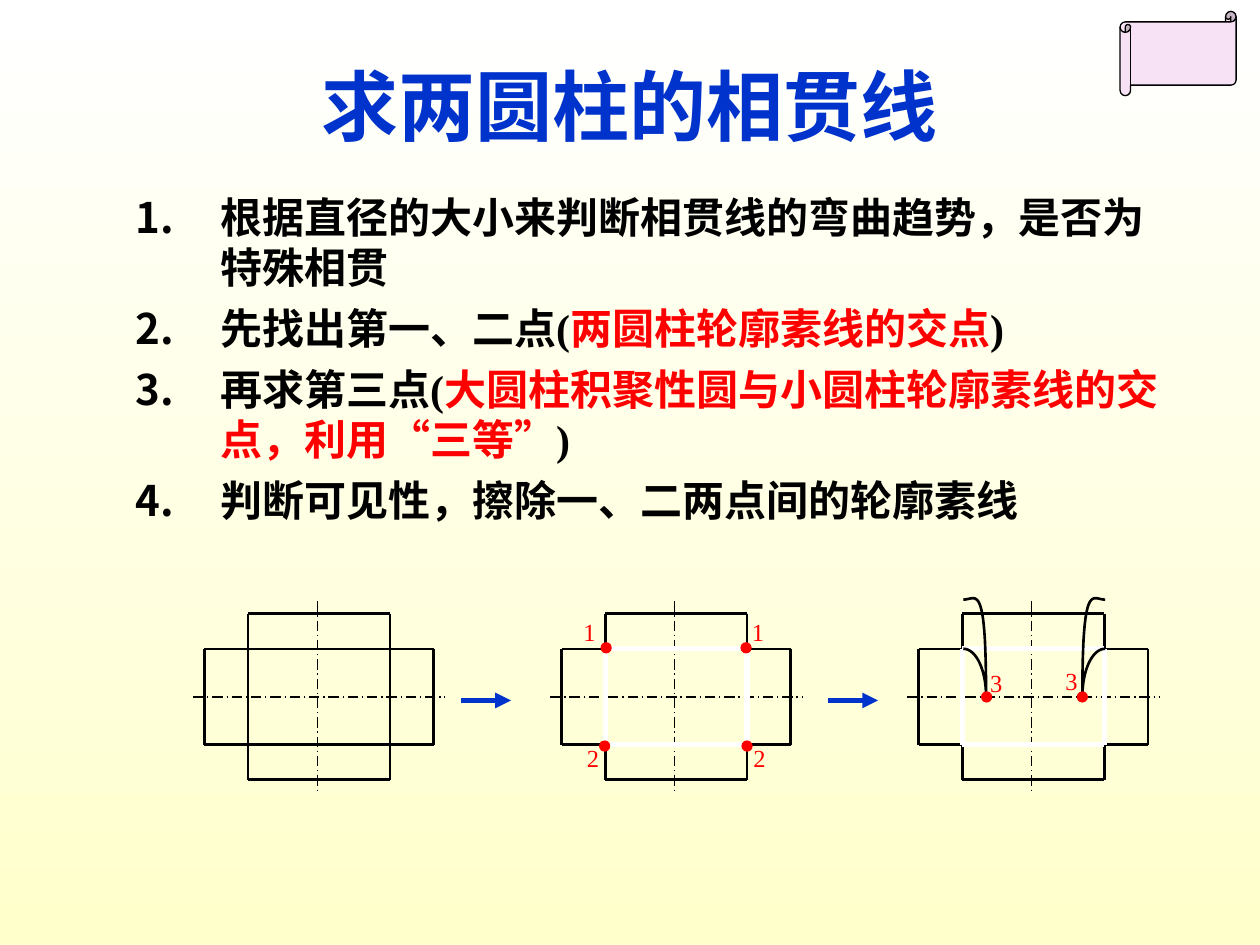
import pptx
import pptx.dml.color
import pptx.enum.dml
import pptx.enum.shapes
import pptx.enum.text
import pptx.oxml.ns
import pptx.util
import lxml.etree

COLOURS = {
    "black": "000000",
    "white": "FFFFFF",
    "cream": "FFFFCC",
    "blue": "0033CC",
    "red": "FF0000",
    "pink": "F7E1F5",
}
FONT = "Times New Roman"
TITLE_FORMAT = {"name": FONT, "size": pptx.util.Pt(44), "bold": True}
BODY_FORMAT = {"name": FONT, "size": pptx.util.Pt(24), "bold": True}
LABEL_FORMAT = {"name": FONT, "size": pptx.util.Pt(14), "bold": False}
CENTRE_LINE = pptx.enum.dml.MSO_LINE.LONG_DASH_DOT
SHAPES = pptx.enum.shapes.MSO_SHAPE

FIGURE_PITCH = 7.2
UPRIGHT = (5.0, 12.37, 7.86, 15.72)
CROSSWISE = (4.12, 13.08, 8.74, 15.01)
OVERLAP = (5.0, 13.08, 7.86, 15.01)
CENTRE_X, CENTRE_Y = 6.4, 14.05
CURVE_AXIS = 20.85
CURVE_SEGMENTS = [
    [(1.43, 13.08), (1.17, 13.08), (0.97, 13.51), (0.97, 14.05)],
    [(0.97, 14.05), (0.97, 11.66), (1.17, 12.09), (1.43, 12.09)],
]
STEPS = [
    [("根据直径的大小来判断相贯线的弯曲趋势，是否为特殊相贯", "black")],
    [("先找出第一、二点(", "black"), ("两圆柱轮廓素线的交点", "red"), (")", "black")],
    [
        ("再求第三点(", "black"),
        ("大圆柱积聚性圆与小圆柱轮廓素线的交点，利用“三等”", "red"),
        (")", "black"),
    ],
    [("判断可见性，擦除一、二两点间的轮廓素线", "black")],
]
DOTS = [(12.22, 13.06), (15.06, 15.04), (12.19, 15.04), (15.04, 13.06), (21.82, 14.05), (19.89, 14.05)]
LABELS = [
    ("1", 11.51, 12.32),
    ("2", 11.58, 14.86),
    ("1", 14.91, 12.32),
    ("2", 14.94, 14.86),
    ("3", 21.23, 13.31),
    ("3", 19.71, 13.34),
]


def colour(name):
    return pptx.dml.color.RGBColor.from_string(COLOURS[name])


def add_element(parent, tag, **attributes):
    return lxml.etree.SubElement(parent, pptx.oxml.ns.qn(tag), attributes)


def bezier_points(controls, count=24):
    for step in range(count + 1):
        t = step / count
        weights = ((1 - t) ** 3, 3 * t * (1 - t) ** 2, 3 * t * t * (1 - t), t ** 3)
        yield tuple(sum(w * point[axis] for w, point in zip(weights, controls)) for axis in (0, 1))


class SlideBuilder:
    def __init__(self, slide):
        self.slide = slide

    def background(self, top, bottom):
        fill = self.slide.background.fill
        fill.gradient()
        fill.gradient_angle = 270
        for stop, name in zip(fill.gradient_stops, (top, bottom)):
            stop.color.rgb = colour(name)

    def run(self, paragraph, text, name, text_format):
        run = paragraph.add_run()
        run.text = text
        for attribute, value in text_format.items():
            setattr(run.font, attribute, value)
        run.font.color.rgb = colour(name)

    def title(self, text, box):
        shape = self.slide.shapes.title
        for attribute, value in zip(("left", "top", "width", "height"), box):
            setattr(shape, attribute, pptx.util.Cm(value))
        shape.text_frame.vertical_anchor = pptx.enum.text.MSO_ANCHOR.MIDDLE
        paragraph = shape.text_frame.paragraphs[0]
        paragraph.alignment = pptx.enum.text.PP_ALIGN.CENTER
        self.run(paragraph, text, "blue", TITLE_FORMAT)

    def text_box(self, box):
        frame = self.slide.shapes.add_textbox(*map(pptx.util.Cm, box)).text_frame
        frame.word_wrap = True
        return frame

    def numbered_list(self, items, box):
        frame = self.text_box(box)
        for index, runs in enumerate(items):
            paragraph = frame.add_paragraph() if index else frame.paragraphs[0]
            properties = paragraph._p.get_or_add_pPr()
            properties.set("marL", str(pptx.util.Cm(1.7)))
            properties.set("indent", str(-pptx.util.Cm(1.7)))
            add_element(add_element(properties, "a:buClr"), "a:srgbClr", val=COLOURS["black"])
            add_element(properties, "a:buAutoNum", type="arabicPeriod")
            if index:
                paragraph.space_before = pptx.util.Pt(6)
            for text, name in runs:
                self.run(paragraph, text, name, BODY_FORMAT)

    def label(self, text, left, top):
        frame = self.text_box((left, top, 1.19, 0.86))
        self.run(frame.paragraphs[0], text, "red", LABEL_FORMAT)

    def shape(self, kind, box, fill, outline):
        shape = self.slide.shapes.add_shape(kind, *map(pptx.util.Cm, box))
        shape.shadow.inherit = False
        shape.fill.solid()
        shape.fill.fore_color.rgb = colour(fill)
        shape.line.color.rgb = colour(outline)
        shape.line.width = pptx.util.Pt(0.75)

    def dot(self, x, y, size=0.2):
        self.shape(SHAPES.OVAL, (x - size / 2, y - size / 2, size, size), "red", "red")

    def line(self, shapes, ends, name="black", width=1.5, dash=None):
        connector = shapes.add_connector(
            pptx.enum.shapes.MSO_CONNECTOR.STRAIGHT, *map(pptx.util.Cm, ends)
        )
        connector.line.color.rgb = colour(name)
        connector.line.width = pptx.util.Pt(width)
        if dash:
            connector.line.dash_style = dash
        add_element(connector._element.spPr, "a:effectLst")
        return connector

    def arrow(self, start, end, y):
        connector = self.line(self.slide.shapes, (start, y, end, y), "blue", 3)
        add_element(connector.line._get_or_add_ln(), "a:tailEnd", type="triangle")

    def frame(self, shapes, edges, offset, name="black", width=1.5):
        left, top, right, bottom = edges
        left, right = left + offset, right + offset
        for ends in (
            (left, top, right, top),
            (left, top, left, bottom),
            (right, top, right, bottom),
            (left, bottom, right, bottom),
        ):
            self.line(shapes, ends, name, width)

    def curve(self, shapes, side):
        points = [
            (pptx.util.Cm(CURVE_AXIS + side * x), pptx.util.Cm(y))
            for segment in CURVE_SEGMENTS
            for x, y in bezier_points(segment)
        ]
        builder = shapes.build_freeform(*points[0])
        builder.add_line_segments(points[1:], close=False)
        shape = builder.convert_to_shape()
        shape.shadow.inherit = False
        shape.fill.background()
        shape.line.color.rgb = colour("black")
        shape.line.width = pptx.util.Pt(1.5)

    def cylinders(self, index):
        shapes = self.slide.shapes.add_group_shape().shapes
        offset = index * FIGURE_PITCH
        x = CENTRE_X + offset
        self.frame(shapes, UPRIGHT, offset)
        self.line(shapes, (x, 12.12, x, 15.98), width=0.75, dash=CENTRE_LINE)
        self.frame(shapes, CROSSWISE, offset)
        self.line(shapes, (3.89 + offset, CENTRE_Y, 8.97 + offset, CENTRE_Y), width=0.75, dash=CENTRE_LINE)
        if index >= 1:
            self.frame(shapes, OVERLAP, offset, "white", 3)
        if index == 2:
            for side in (-1, 1):
                self.curve(shapes, side)


def main():
    presentation = pptx.Presentation()
    presentation.slide_width = pptx.util.Cm(25.4)
    presentation.slide_height = pptx.util.Cm(19.05)
    builder = SlideBuilder(presentation.slides.add_slide(presentation.slide_layouts[5]))
    builder.background("white", "cream")
    builder.title("求两圆柱的相贯线", (1.9, 0.53, 21.6, 3.18))
    builder.shape(SHAPES.HORIZONTAL_SCROLL, (22.58, 0.23, 2.34, 1.7), "pink", "black")
    builder.numbered_list(STEPS, (2.49, 3.73, 21.6, 7.39))
    for index in range(3):
        builder.cylinders(index)
    for start in (9.3, 16.7):
        builder.arrow(start, start + 1, 14.12)
    for x, y in DOTS:
        builder.dot(x, y)
    for text, left, top in LABELS:
        builder.label(text, left, top)
    presentation.save("out.pptx")


if __name__ == "__main__":
    main()
